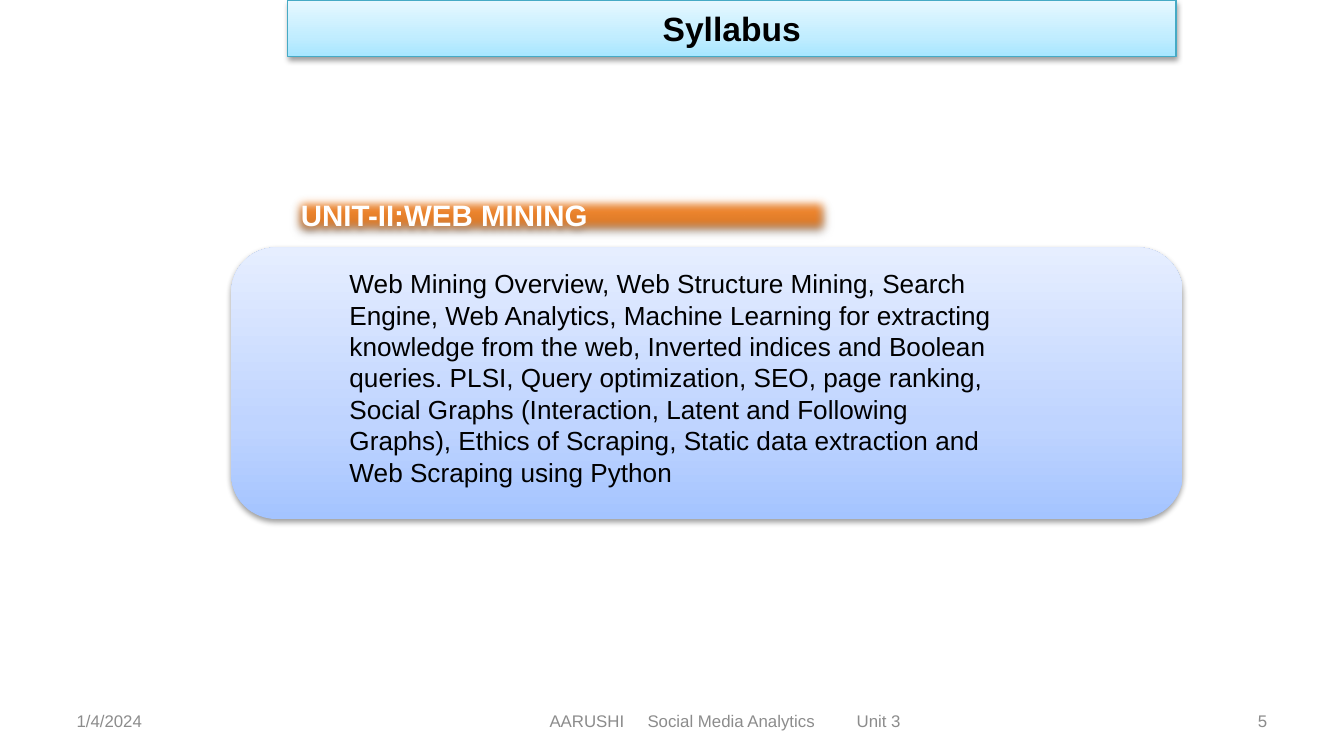
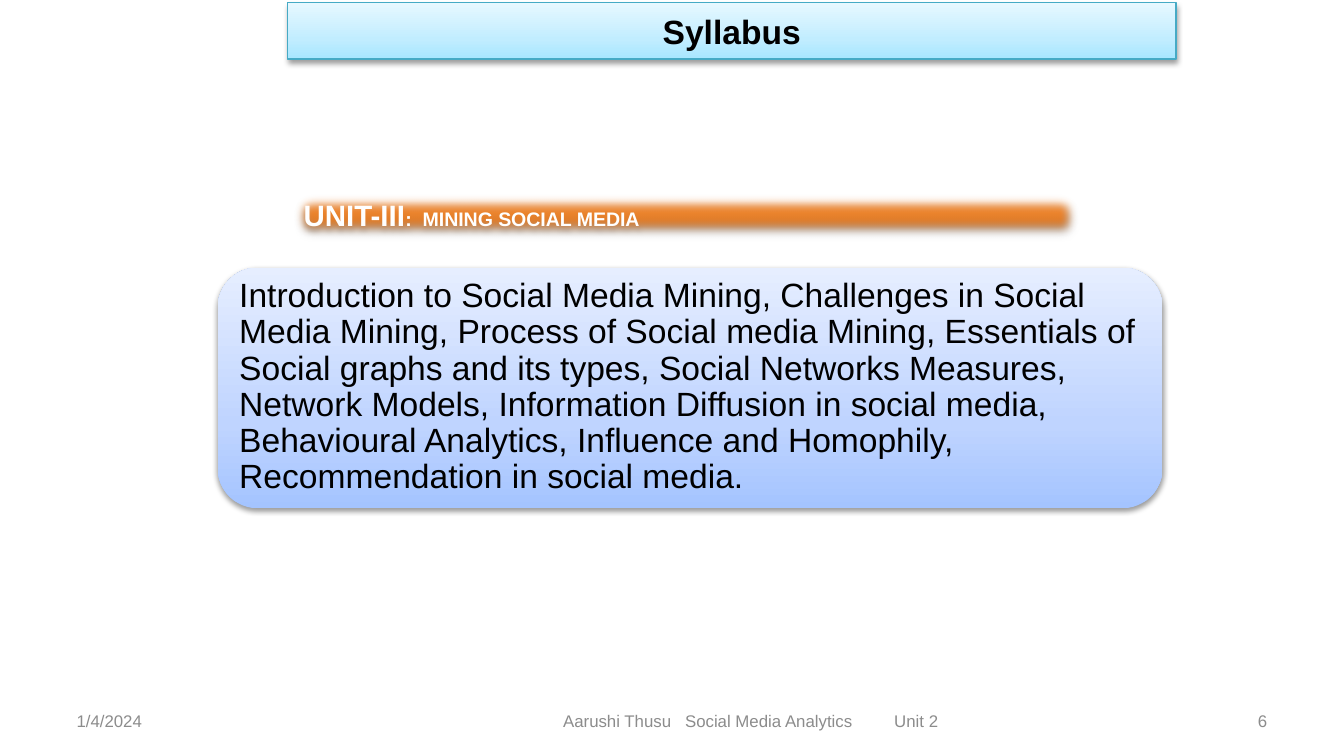
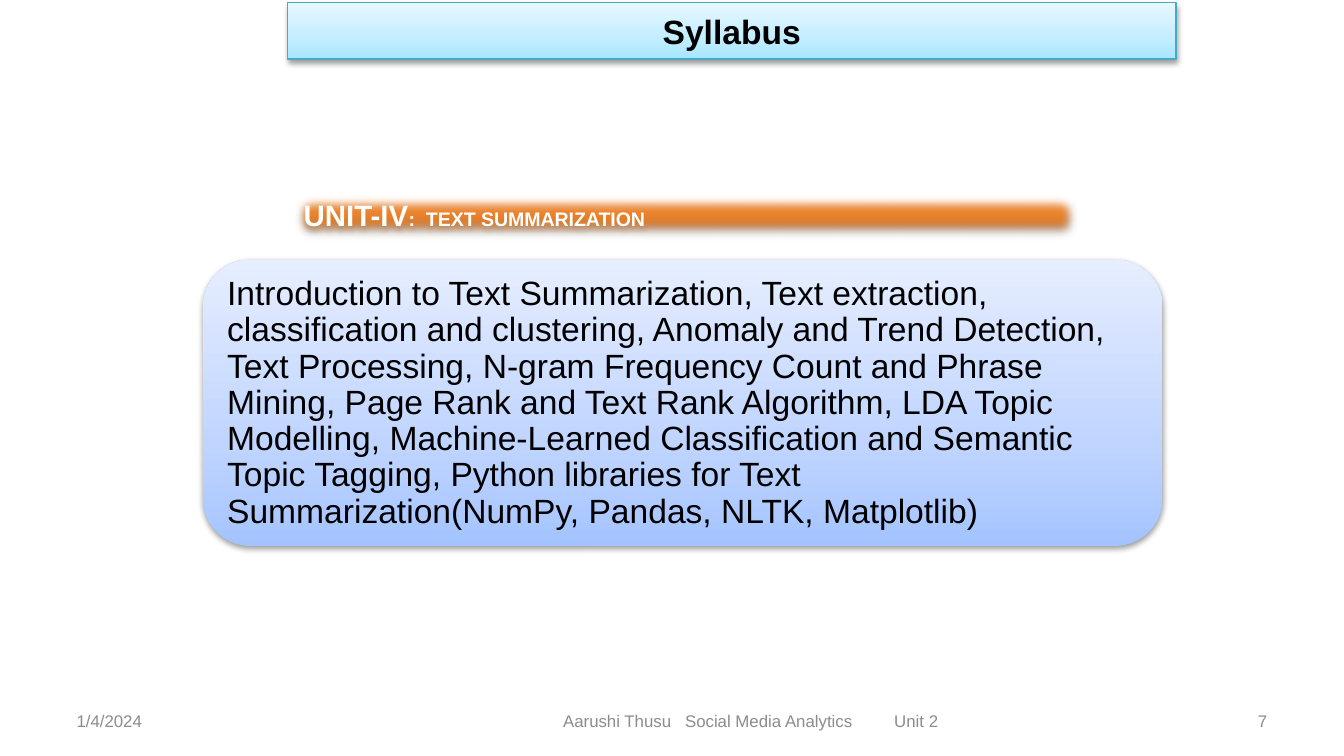
from dataclasses import dataclass

from lxml import etree
from pptx import Presentation
from pptx.dml.color import RGBColor
from pptx.enum.shapes import MSO_SHAPE as Preset
from pptx.enum.text import MSO_ANCHOR as Anchor, MSO_AUTO_SIZE as AutoSize, PP_ALIGN as Align
from pptx.oxml.ns import qn
from pptx.util import Emu, Inches, Pt

WIDTH = Inches(10)
HEIGHT = Emu(WIDTH * 9 // 16)
COLUMN, ROW = WIDTH / 100, HEIGHT / 45
FONT = "Arial"
BLACK, WHITE, GREY, TEAL = "000000", "FFFFFF", "8C8C8C", "46AAC5"
ICE = ((0, "A7E6FF"), (35, "C1EDFF"), (100, "E7F8FF"))
ORANGE = ((0, "C2691F"), (80, "FF9034"), (100, "FF9136"))
BLUE = ((0, "A4C4FF"), (35, "BFD4FF"), (100, "E6EEFF"))
DATE = "1/4/2024"
COURSE = "Social Media Analytics"
FIRST_NUMBER = 5


@dataclass(frozen=True)
class Area:
    """A rectangle in grid columns and rows."""
    left: float
    top: float
    width: float
    height: float


@dataclass(frozen=True)
class Span:
    text: str
    size: float
    color: str = BLACK
    bold: bool = False
    tracking: float = 0


@dataclass(frozen=True)
class Layout:
    """How a block of text sits in its box."""
    align: Align = Align.LEFT
    anchor: Anchor = Anchor.MIDDLE
    side: float = 0.07
    edge: float = 0.04
    leading: float = 1.0


@dataclass(frozen=True)
class Unit:
    heading: tuple[Span, ...]
    heading_area: Area
    panel_area: Area
    topics: str
    topics_area: Area
    topics_size: float
    topics_layout: Layout
    footer: tuple[Span, ...]
    footer_left: float
    title_top: float = 0.16


def rgb(color: str) -> RGBColor:
    return RGBColor.from_string(color)


def box_of(area: Area) -> tuple[Emu, ...]:
    return (Emu(round(area.left * COLUMN)), Emu(round(area.top * ROW)),
            Emu(round(area.width * COLUMN)), Emu(round(area.height * ROW)))


def place(shape, area: Area) -> None:
    shape.left, shape.top, shape.width, shape.height = box_of(area)


def write(shape, spans: tuple[Span, ...], layout: Layout) -> None:
    frame = shape.text_frame
    frame.word_wrap, frame.auto_size = True, AutoSize.NONE
    frame.vertical_anchor = layout.anchor
    frame.margin_left = frame.margin_right = Inches(layout.side)
    frame.margin_top = frame.margin_bottom = Inches(layout.edge)
    para = frame.paragraphs[0]
    para.alignment, para.line_spacing = layout.align, layout.leading
    para.space_before = Pt(0)
    for span in spans:
        run = para.add_run()
        run.text = span.text
        run.font.name, run.font.size, run.font.bold = FONT, Pt(span.size), span.bold
        run.font.color.rgb = rgb(span.color)
        if span.tracking:
            run.font._element.set("spc", str(round(span.tracking * 100)))


def add_color(parent, color: str):
    return etree.SubElement(parent, qn("a:srgbClr"), val=color)


def fill_upward(shape, stops: tuple[tuple[int, str], ...]) -> None:
    """Fill with a gradient that runs from the bottom to the top."""
    shape.fill.background()
    properties = shape._element.spPr
    gradient = etree.Element(qn("a:gradFill"), rotWithShape="1")
    properties.replace(properties.find(qn("a:noFill")), gradient)
    stop_list = etree.SubElement(gradient, qn("a:gsLst"))
    for percent, color in stops:
        add_color(etree.SubElement(stop_list, qn("a:gs"), pos=str(percent * 1000)), color)
    etree.SubElement(gradient, qn("a:lin"), ang="16200000", scaled="0")


def add_shadow(shape, opacity: int, distance: float, soft_edge: float = 0) -> None:
    shape.shadow.inherit = False
    effects = shape._element.spPr.find(qn("a:effectLst"))
    shadow = etree.SubElement(effects, qn("a:outerShdw"), blurRad=str(Pt(3.1)),
                              dist=str(Pt(distance)), dir="5400000", rotWithShape="0")
    etree.SubElement(add_color(shadow, BLACK), qn("a:alpha"), val=str(opacity * 1000))
    if soft_edge:
        etree.SubElement(effects, qn("a:softEdge"), rad=str(Pt(soft_edge)))


def add_band(slide, preset: Preset, area: Area, stops: tuple[tuple[int, str], ...]):
    band = slide.shapes.add_shape(preset, *box_of(area))
    fill_upward(band, stops)
    band.line.fill.background()
    return band


def add_footer(slide, unit: Unit, number: int) -> None:
    parts = (
        (5, 23.3, Align.LEFT, (Span(DATE, 9, GREY),)),
        (unit.footer_left, 33.3, Align.CENTER, unit.footer),
        (71.7, 23.3, Align.RIGHT, (Span(str(number), 9, GREY),)),
    )
    for left, width, align, spans in parts:
        box = slide.shapes.add_textbox(*box_of(Area(left, 41.72, width, 2.4)))
        write(box, spans, Layout(align))


def format_title(title, top: float) -> None:
    place(title, Area(21.4, top, 66.1, 3.36))
    fill_upward(title, ICE)
    title.line.color.rgb, title.line.width = rgb(TEAL), Pt(0.75)
    add_shadow(title, 38, 1.6)
    write(title, (Span("Syllabus", 18, bold=True),), Layout(Align.CENTER, side=0.06, edge=0.03))


def add_topics(slide, unit: Unit) -> None:
    panel = add_band(slide, Preset.ROUNDED_RECTANGLE, unit.panel_area, BLUE)
    add_shadow(panel, 38, 1.6)
    body = slide.placeholders[1]
    slide.shapes._spTree.append(body._element)
    place(body, unit.topics_area)
    properties = body.text_frame.paragraphs[0]._p.get_or_add_pPr()
    properties.set("marL", "0")
    properties.set("indent", "0")
    etree.SubElement(properties, qn("a:buNone"))
    write(body, (Span(unit.topics, unit.topics_size),), unit.topics_layout)


def add_unit(deck, unit: Unit, number: int) -> None:
    slide = deck.slides.add_slide(deck.slide_layouts[1])
    add_footer(slide, unit, number)
    format_title(slide.shapes.title, unit.title_top)
    heading = add_band(slide, Preset.RECTANGLE, unit.heading_area, ORANGE)
    add_shadow(heading, 35, 1.8, soft_edge=6)
    write(heading, unit.heading, Layout(Align.JUSTIFY, Anchor.TOP, 0.1, 0.05))
    add_topics(slide, unit)


def footer_spans(author: str, gap: float, unit_name: str) -> tuple[Span, ...]:
    return (Span(author, 9, GREY), Span(" ", 9, GREY, tracking=gap), Span(COURSE, 9, GREY),
            Span(" ", 9, GREY, tracking=20), Span(unit_name, 9, GREY))


def heading_spans(name: str, subject: str) -> tuple[Span, ...]:
    return (Span(name, 15.8, WHITE, True), Span(":", 10.5, WHITE, True),
            Span(" ", 10.5, WHITE, True, 2.9), Span(subject, 10.5, WHITE, True))


WIDE_HEADING = Area(21.6, 11.36, 58.9, 2.96)
TIGHT = Layout(edge=0.07, leading=0.9)
UNIT_2_FOOTER = footer_spans("Aarushi Thusu", 5, "Unit 2")

UNITS = (
    Unit((Span("UNIT-II:WEB MINING", 15.8, WHITE, True),), Area(21.4, 11.36, 40.8, 2.96),
         Area(17.2, 14.73, 70.8, 16.17),
         "Web Mining Overview, Web Structure Mining, Search Engine, Web Analytics, Machine "
         "Learning for extracting knowledge from the web, Inverted indices and Boolean queries. "
         "PLSI, Query optimization, SEO, page ranking, Social Graphs (Interaction, Latent and "
         "Following Graphs), Ethics of Scraping, Static data extraction and Web Scraping using "
         "Python",
         Area(25, 15.53, 50, 14.01), 14, Layout(anchor=Anchor.TOP, side=0.1, edge=0.05),
         footer_spans("AARUSHI", 10, "Unit 3"), 37.3, title_top=0),
    Unit(heading_spans("UNIT-III", "MINING SOCIAL MEDIA"), WIDE_HEADING,
         Area(16.2, 15.93, 70.3, 14.33),
         "Introduction to Social Media Mining, Challenges in Social Media Mining, Process of "
         "Social media Mining, Essentials of Social graphs and its types, Social Networks "
         "Measures, Network Models, Information Diffusion in social media, Behavioural "
         "Analytics, Influence and Homophily, Recommendation in social media.",
         Area(17.1, 16.57, 68.6, 12.97), 18, TIGHT, UNIT_2_FOOTER, 39.2),
    Unit(heading_spans("UNIT-IV", "TEXT SUMMARIZATION"), WIDE_HEADING,
         Area(15.1, 15.45, 71.4, 17.05),
         "Introduction to Text Summarization, Text extraction, classification and clustering, "
         "Anomaly and Trend Detection, Text Processing, N-gram Frequency Count and Phrase "
         "Mining, Page Rank and Text Rank Algorithm, LDA Topic Modelling, Machine-Learned "
         "Classification and Semantic Topic Tagging, Python libraries for Text "
         "Summarization(NumPy, Pandas, NLTK, Matplotlib)",
         Area(16.2, 16.33, 69.4, 15.37), 18, TIGHT, UNIT_2_FOOTER, 39.2),
)


def main() -> None:
    deck = Presentation()
    deck.slide_width, deck.slide_height = WIDTH, HEIGHT
    for number, unit in enumerate(UNITS, FIRST_NUMBER):
        add_unit(deck, unit, number)
    deck.save("out.pptx")


if __name__ == "__main__":
    main()
